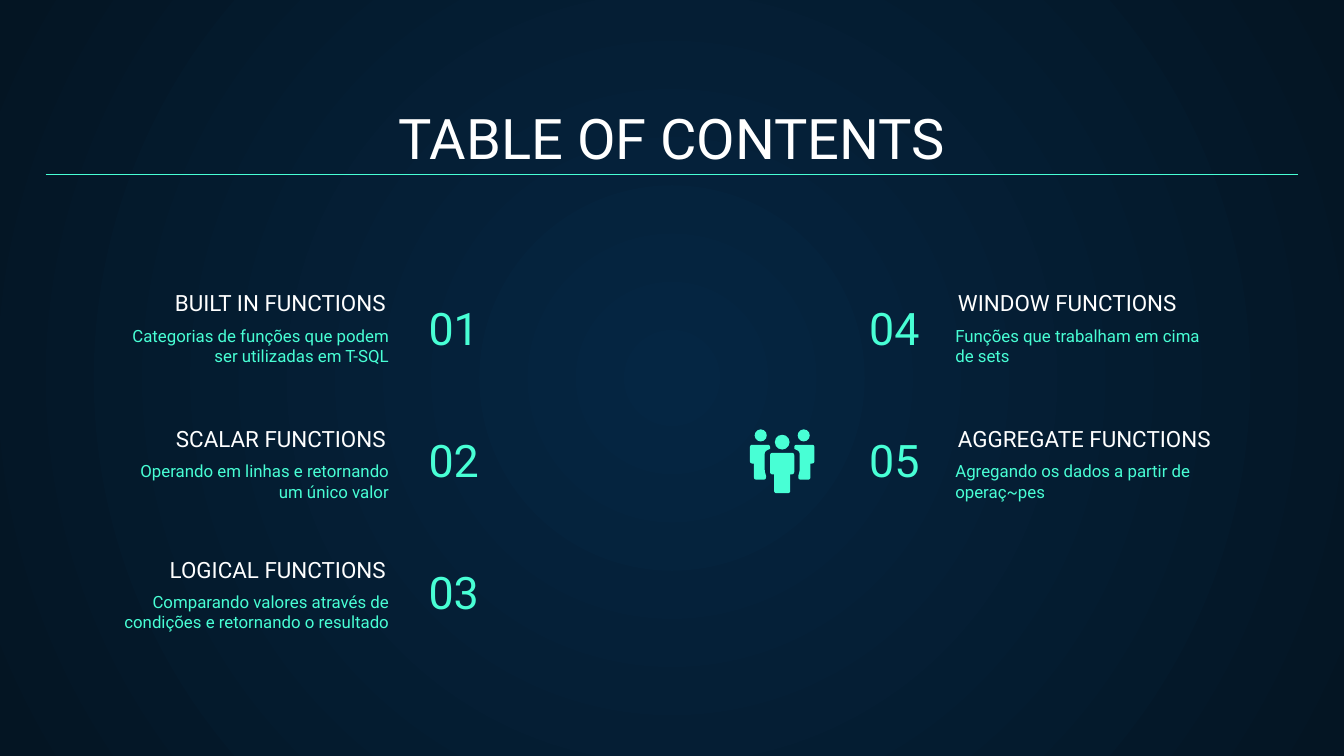
from lxml.etree import SubElement
from pptx import Presentation
from pptx.dml.color import RGBColor
from pptx.enum.shapes import MSO_CONNECTOR, MSO_SHAPE
from pptx.enum.text import MSO_ANCHOR, PP_ALIGN
from pptx.oxml.ns import qn
from pptx.util import Inches, Pt

COLORS = {"white": "FFFFFF", "mint": "48FFD5", "glow": "052643", "night": "041523"}
LEFT, CENTER, RIGHT = PP_ALIGN.LEFT, PP_ALIGN.CENTER, PP_ALIGN.RIGHT
TOP, BOTTOM = MSO_ANCHOR.TOP, MSO_ANCHOR.BOTTOM


def rounded_outline(corners, steps=6):
    outline = []
    for i, (x, y, radius) in enumerate(corners):
        if not radius:
            outline.append((x, y))
            continue
        ends = []
        for nx, ny, _ in (corners[i - 1], corners[(i + 1) % len(corners)]):
            length = ((nx - x) ** 2 + (ny - y) ** 2) ** 0.5
            ends.append((x + (nx - x) * radius / length, y + (ny - y) * radius / length))
        (ax, ay), (bx, by) = ends
        for step in range(steps + 1):
            t = step / steps
            a, m, b = (1 - t) ** 2, 2 * t * (1 - t), t ** 2
            outline.append((a * ax + m * x + b * bx, a * ay + m * y + b * by))
    return outline


class Deck:
    font = "Roboto"

    def __init__(self, width):
        self.presentation = Presentation()
        self.presentation.slide_width = Inches(width)
        self.presentation.slide_height = Inches(width * 9 / 16)
        self.slide = self.presentation.slides.add_slide(self.presentation.slide_layouts[6])

    def color(self, name):
        return RGBColor.from_string(COLORS[name])

    def radial_background(self, inner, outer):
        fill = self.slide.background.fill
        fill.gradient()
        for stop, name, position in zip(fill.gradient_stops, (inner, outer), (0, 1)):
            stop.color.rgb = self.color(name)
            stop.position = position
        gradient = self.slide.element.find(".//" + qn("a:gradFill"))
        gradient.remove(gradient.find(qn("a:lin")))
        circle = SubElement(gradient, qn("a:path"), path="circle")
        SubElement(circle, qn("a:fillToRect"), l="50000", t="50000", r="50000", b="50000")

    def text(self, words, box, size, color, align, anchor):
        frame = self.slide.shapes.add_textbox(*map(Inches, box)).text_frame
        frame.word_wrap = True
        frame.vertical_anchor = anchor
        frame.margin_left = frame.margin_right = Inches(0.1)
        frame.margin_top = frame.margin_bottom = Inches(0.1)
        frame.text = words
        paragraph = frame.paragraphs[0]
        paragraph.alignment = align
        font = paragraph.runs[0].font
        font.name = self.font
        font.size = Pt(size)
        font.color.rgb = self.color(color)

    def rule(self, start, end, color, weight):
        line = self.slide.shapes.add_connector(
            MSO_CONNECTOR.STRAIGHT, *map(Inches, start + end))
        line.line.color.rgb = self.color(color)
        line.line.width = Pt(weight)
        SubElement(line.element.spPr, qn("a:effectLst"))

    def paint(self, shape, color):
        shape.shadow.inherit = False
        shape.fill.solid()
        shape.fill.fore_color.rgb = self.color(color)
        shape.line.fill.background()

    def head(self, icon, x, y, diameter, color):
        corner = (x - diameter / 2, y - diameter / 2, diameter, diameter)
        self.paint(icon.shapes.add_shape(MSO_SHAPE.OVAL, *map(Inches, corner)), color)

    def body(self, icon, corners, color):
        points = [(Inches(x), Inches(y)) for x, y in rounded_outline(corners)]
        builder = icon.shapes.build_freeform(*points[0])
        builder.add_line_segments(points[1:], close=True)
        self.paint(builder.convert_to_shape(), color)

    def people_icon(self, axis, color):
        icon = self.slide.shapes.add_group_shape()
        side = [(-0.24, 3.31, 0.02), (-0.09, 3.31, 0.02), (-0.09, 3.34, 0),
                (-0.13, 3.36, 0.02), (-0.13, 3.51, 0.02), (-0.12, 3.54, 0),
                (-0.12, 3.57, 0.02), (-0.21, 3.57, 0.02), (-0.21, 3.45, 0),
                (-0.24, 3.45, 0.02)]
        for direction in (1, -1):
            self.head(icon, axis - 0.16 * direction, 3.24, 0.09, color)
            self.body(icon, [(axis + x * direction, y, r) for x, y, r in side], color)
        half = [(0.09, 3.37, 0.02), (0.09, 3.53, 0.02), (0.06, 3.53, 0),
                (0.06, 3.67, 0.02)]
        front = half + [(-x, y, r) for x, y, r in reversed(half)]
        self.body(icon, [(axis + x, y, r) for x, y, r in front], color)
        self.head(icon, axis, 3.29, 0.11, color)

    def topic(self, number, heading, summary, row, column):
        heading_top = (2.24, 3.25, 4.23)[row]
        summary_top = (2.32, 3.33, 4.3)[row]
        self.text(heading, (column["heading"], heading_top, 2.27, 0.21),
                  12, "white", column["align"], BOTTOM)
        self.text(summary, (column["summary"], summary_top, column["width"], 0.55),
                  9, "mint", column["align"], TOP)
        self.text(f"{number:02}", (column["number"], 2.08 + 0.98 * row, 1.29, 0.66),
                  24, "mint", column["number_align"], BOTTOM)


COLUMNS = [
    {"heading": 0.7, "summary": 0.79, "width": 2.2, "number": 3.09,
     "align": RIGHT, "number_align": LEFT},
    {"heading": 7.03, "summary": 7.01, "width": 2.07, "number": 5.65,
     "align": LEFT, "number_align": RIGHT},
]
TOPICS = [
    ("BUILT IN FUNCTIONS", "Categorias de funções que podem ser utilizadas em T-SQL"),
    ("SCALAR FUNCTIONS", "Operando em linhas e retornando um único valor"),
    ("LOGICAL FUNCTIONS", "Comparando valores através de condições e retornando o resultado"),
    ("WINDOW FUNCTIONS", "Funções que trabalham em cima de sets"),
    ("AGGREGATE FUNCTIONS", "Agregando os dados a partir de operaç~pes"),
]


def main():
    deck = Deck(10)
    deck.radial_background("glow", "night")
    deck.text("TABLE OF CONTENTS", (0.34, 0.71, 9.32, 0.66), 30, "white", CENTER, BOTTOM)
    for index, (heading, summary) in enumerate(TOPICS):
        column, row = divmod(index, 3)
        deck.topic(index + 1, heading, summary, row, COLUMNS[column])
    deck.people_icon(5.82, "mint")
    deck.rule((0.34, 1.3), (9.66, 1.3), "mint", 0.75)
    deck.presentation.save("out.pptx")


if __name__ == "__main__":
    main()
